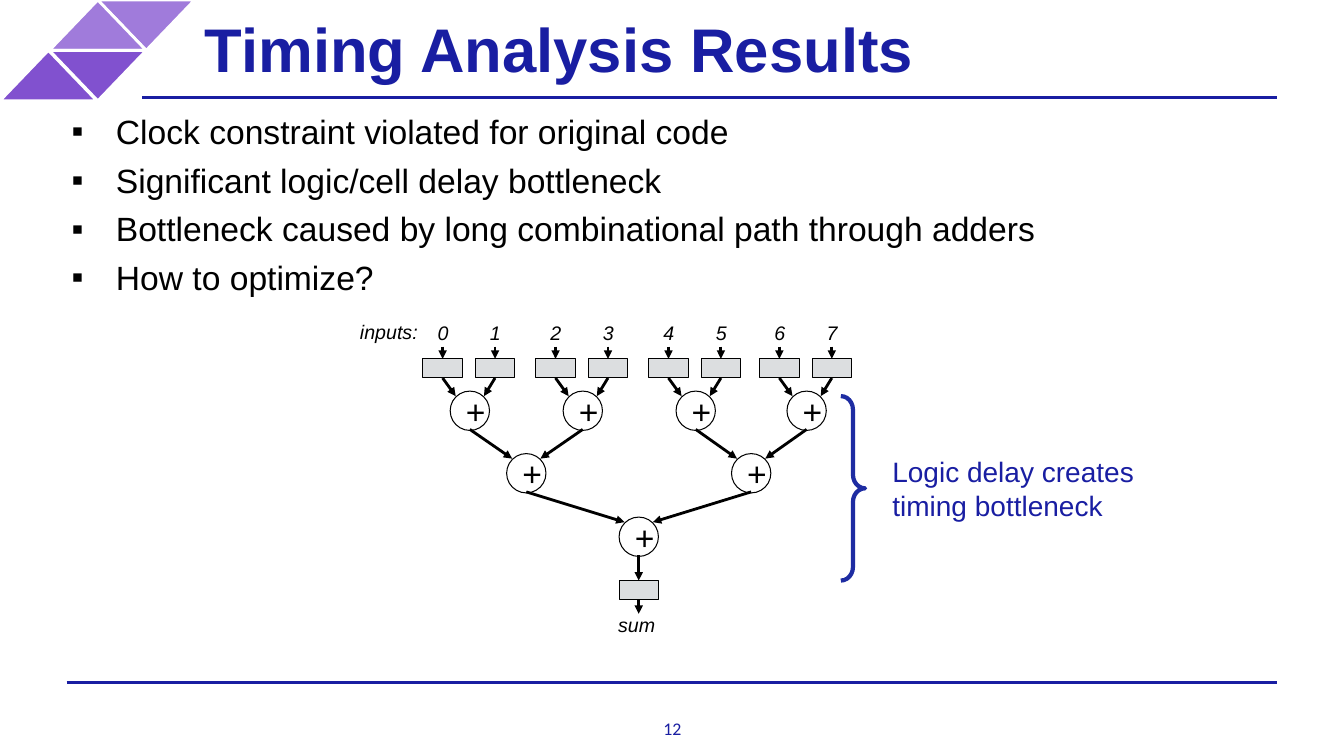
"""Build the timing analysis slide with its adder tree."""
from typing import NamedTuple

from lxml import etree
from pptx import Presentation
from pptx import util as u
from pptx.dml.color import RGBColor
from pptx.enum import shapes, text
from pptx.oxml import ns

NAVY, BLACK, WHITE, GRAY = "191EA2", "000000", "FFFFFF", "DCDEE0"
LILAC, PURPLE = "A07BDB", "8151CF"
KIND = shapes.MSO_SHAPE
MID, TOP = text.MSO_ANCHOR.MIDDLE, text.MSO_ANCHOR.TOP
SIZE, TALL = 0.39, 0.19


class Box(NamedTuple):
    x: float
    y: float
    w: float
    h: float


class Style(NamedTuple):
    size: float
    color: str = BLACK
    font: str = "Arial"
    bold: bool = False
    slant: bool = False


class Label(NamedTuple):
    words: str
    box: Box
    style: Style
    inset: float = 0.06
    anchor: text.MSO_ANCHOR = MID
    wrap: bool = True
    indent: float = 0
    align: text.PP_ALIGN = text.PP_ALIGN.LEFT


class Tile(NamedTuple):
    x: float
    y: float
    color: str
    down: bool


class Node(NamedTuple):
    x: float
    base: float


def rgb(code: str) -> RGBColor:
    """Turn a hex string into a colour."""
    return RGBColor.from_string(code)


def place(box: Box) -> list[u.Length]:
    """Give the four lengths of a box."""
    return [u.Inches(n) for n in box]


def style(para, look: Style) -> None:
    """Format every run of a paragraph."""
    for run in para.runs:
        font = run.font
        font.name, font.size = look.font, u.Pt(look.size)
        font.bold, font.italic = look.bold, look.slant
        font.color.rgb = rgb(look.color)


def indent(para, left: float, first: float = 0) -> None:
    """Set the left margin and first-line indent."""
    props = para._p.get_or_add_pPr()
    props.set("marL", str(u.Inches(left)))
    props.set("indent", str(u.Inches(first)))


def write(label: Label):
    """Add a text box and return its frame."""
    frame = slide.shapes.add_textbox(*place(label.box)).text_frame
    frame.word_wrap, frame.vertical_anchor = label.wrap, label.anchor
    frame.margin_left = frame.margin_right = u.Inches(label.inset)
    frame.margin_top = frame.margin_bottom = u.Inches(label.inset)
    frame.text = label.words
    for para in frame.paragraphs:
        para.alignment = label.align
        indent(para, label.indent)
        style(para, label.style)
    return frame


def draw(kind: KIND, box: Box, fill: str = "", line: str = BLACK,
         width: float = 0.75):
    """Add a preset shape."""
    shape = slide.shapes.add_shape(kind, *place(box))
    shape.shadow.inherit = False
    if fill:
        shape.fill.solid()
        shape.fill.fore_color.rgb = rgb(fill)
    else:
        shape.fill.background()
    shape.line.color.rgb, shape.line.width = rgb(line), u.Pt(width)
    return shape


def link(x: float, y: float, to_x: float, to_y: float,
         color: str = BLACK, arrow: bool = True) -> None:
    """Add a straight line, with an arrowhead if wanted."""
    ends = [u.Inches(n) for n in (x, y, to_x, to_y)]
    line = slide.shapes.add_connector(shapes.MSO_CONNECTOR.STRAIGHT, *ends)
    line.line.color.rgb, line.line.width = rgb(color), u.Pt(2)
    if arrow:
        tail = etree.SubElement(line.line._get_or_add_ln(), ns.qn("a:tailEnd"))
        tail.set("type", "triangle")
    etree.SubElement(line._element.spPr, ns.qn("a:effectLst"))


def store(x: float, y: float) -> Node:
    """Draw a register centred on x."""
    draw(KIND.RECTANGLE, Box(x - SIZE / 2, y, SIZE, TALL), GRAY)
    return Node(x, y + TALL)


def add(left: Node, right: Node, x: float, y: float) -> Node:
    """Draw an adder fed by two nodes."""
    frame = draw(KIND.OVAL, Box(x - SIZE / 2, y, SIZE, SIZE)).text_frame
    frame.text, frame.vertical_anchor = "+", MID
    para = frame.paragraphs[0]
    para.alignment = text.PP_ALIGN.LEFT
    style(para, Style(24))
    link(left.x, left.base, x - 0.14, y + 0.05)
    link(right.x, right.base, x + 0.14, y + 0.05)
    return Node(x, y + SIZE - 0.01)


def list_points(points: list[str]) -> None:
    """Write the bulleted points."""
    frame = write(Label("\n".join(points), Box(0.65, 1.1, 12.2, 1.95),
                        Style(24), 0, TOP))
    for para in frame.paragraphs:
        para.space_before = u.Pt(6)
        indent(para, 0.5, -0.44)
        props = para._p.get_or_add_pPr()
        etree.SubElement(props, ns.qn("a:buFont")).set("typeface", "Arial")
        etree.SubElement(props, ns.qn("a:buChar")).set("char", "▪")


def tree() -> None:
    """Draw the inputs, registers and adders down to the sum."""
    note = Style(14, slant=True)
    write(Label("inputs:", Box(3.45, 3.12, 0.89, 0.34), note, indent=0.06))
    row = []
    for pair, start in enumerate((4.39, 5.51, 6.63, 7.73)):
        feeds = []
        for side in range(2):
            x = start + 0.52 * side
            write(Label(str(2 * pair + side), Box(x - 0.17, 3.13, 0.38, 0.34),
                        note, indent=0.06))
            link(x, 3.44, x, 3.56)
            feeds.append(store(x, 3.56))
        row.append(add(*feeds, start + 0.27, 3.88))
    for y in (4.5, 5.13):
        row = [add(a, b, (a.x + b.x) / 2, y)
               for a, b in zip(row[::2], row[1::2])]
    root = row[0]
    link(root.x, root.base, root.x, 5.76)
    end = store(root.x, 5.76)
    link(end.x, end.base, end.x, 6.09)
    write(Label("sum", Box(6.01, 6.03, 0.89, 0.34), note, indent=0.06))


deck = Presentation()
deck.slide_width, deck.slide_height = u.Inches(13.33), u.Inches(7.5)
slide = deck.slides.add_slide(deck.slide_layouts[6])

for tile in (Tile(0.97, 0, LILAC, True), Tile(0.49, 0, LILAC, False),
             Tile(0.49, 0.5, PURPLE, True), Tile(0, 0.5, PURPLE, False)):
    shape = draw(KIND.ISOSCELES_TRIANGLE, Box(tile.x, tile.y, 0.96, 0.5),
                 tile.color, WHITE, 2)
    shape.rotation = 180 if tile.down else 0
for x, y in ((1.41, 0.97), (0.66, 6.77)):
    link(x, y, 12.67, y, NAVY, False)

write(Label("Timing Analysis Results", Box(1.89, 0, 11.28, 0.95),
            Style(44, NAVY, bold=True), 0.14))
list_points(["Clock constraint violated for original code",
             "Significant logic/cell delay bottleneck",
             "Bottleneck caused by long combinational path through adders",
             "How to optimize?"])
tree()
brace = draw(KIND.RIGHT_BRACE, Box(8.34, 3.93, 0.24, 1.83), "", "1E2CA2", 3)
brace.adjustments[0] = 0.56
write(Label("Logic delay creates\vtiming bottleneck", Box(8.79, 4.45, 2.61, 0.79),
            Style(20, NAVY), wrap=False))
write(Label("12", Box(6.37, 7.12, 0.6, 0.21), Style(12.7, NAVY, "Calibri"),
            0, TOP, align=text.PP_ALIGN.CENTER))
deck.save("out.pptx")
